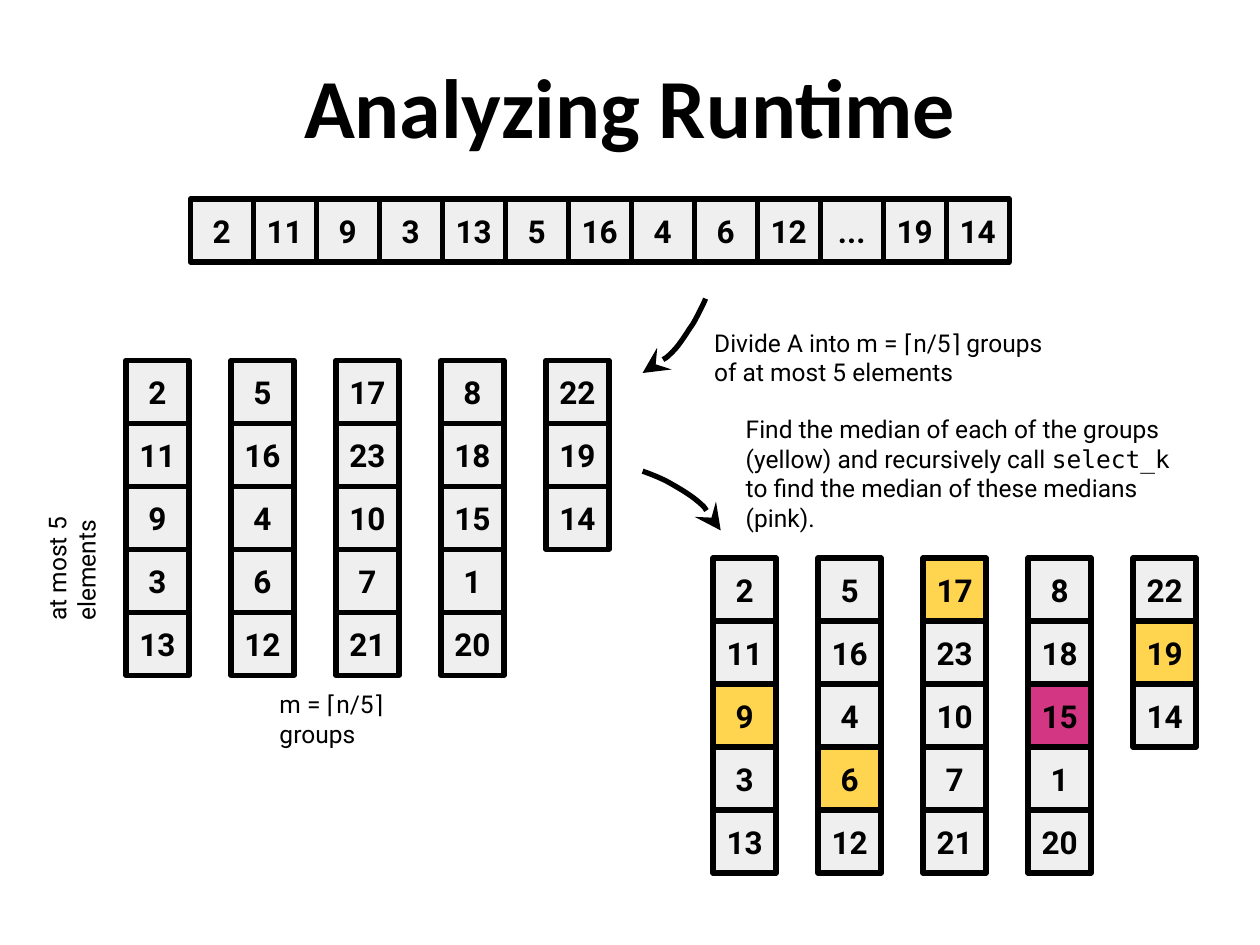
"""Build the "Analyzing Runtime" slide: an array split into groups of five, with medians marked."""
from dataclasses import dataclass

from lxml import etree
from pptx import Presentation
from pptx.dml.color import RGBColor
from pptx.enum.shapes import MSO_SHAPE
from pptx.enum.text import MSO_ANCHOR, PP_ALIGN
from pptx.oxml.ns import qn
from pptx.util import Inches, Pt

RECT = MSO_SHAPE.RECTANGLE
TOP, MIDDLE = MSO_ANCHOR.TOP, MSO_ANCHOR.MIDDLE
LEFT, CENTER = PP_ALIGN.LEFT, PP_ALIGN.CENTER


@dataclass(frozen=True)
class Theme:
    ink: RGBColor = RGBColor(0x00, 0x00, 0x00)
    cell: RGBColor = RGBColor(0xEF, 0xEF, 0xEF)
    median: RGBColor = RGBColor(0xFF, 0xD5, 0x4F)
    pivot: RGBColor = RGBColor(0xD3, 0x36, 0x82)
    heading: str = "Calibri"
    body: str = "Roboto"
    code: str = "DejaVu Sans Mono"
    title_size: Pt = Pt(48)
    cell_size: Pt = Pt(18)
    note_size: Pt = Pt(14)
    line: Pt = Pt(3)


theme = Theme()
CELL = 0.5
PITCH = CELL * 5 / 3


def write(tf, paragraphs, size, align=LEFT, anchor=MIDDLE, bold=False):
    """Fill a text frame with paragraphs, each a list of (text, font) runs."""
    tf.word_wrap = True
    tf.vertical_anchor = anchor
    tf.margin_left = tf.margin_right = tf.margin_top = tf.margin_bottom = Inches(0.1)
    for i, runs in enumerate(paragraphs):
        p = tf.add_paragraph() if i else tf.paragraphs[0]
        p.alignment = align
        for text, font in runs:
            r = p.add_run()
            r.text = text
            r.font.name, r.font.size, r.font.bold = font, size, bold
            r.font.color.rgb = theme.ink


prs = Presentation()
prs.slide_width, prs.slide_height = Inches(10), Inches(7.5)
s = prs.slides.add_slide(prs.slide_layouts[5])

title = s.shapes.title
title.left, title.top, title.width, title.height = 0, Inches(0.33), prs.slide_width, Inches(1.25)
write(title.text_frame, [[("Analyzing Runtime", theme.heading)]], theme.title_size, CENTER, TOP, True)

array = ["2", "11", "9", "3", "13", "5", "16", "4", "6", "12", "...", "19", "14"]
groups = [
    ["2", "11", "9", "3", "13"],
    ["5", "16", "4", "6", "12"],
    ["17", "23", "10", "7", "21"],
    ["8", "18", "15", "1", "20"],
    ["22", "19", "14"],
]
marks = {(0, 2): theme.median, (1, 3): theme.median, (2, 0): theme.median,
         (3, 2): theme.pivot, (4, 1): theme.median}

cells = [(1.51 + i * CELL, 1.58, value, theme.cell) for i, value in enumerate(array)]
for left, top, fills in [(1, 2.86, {}), (5.66, 4.43, marks)]:
    for col, group in enumerate(groups):
        for row, value in enumerate(group):
            fill = fills.get((col, row), theme.cell)
            cells.append((left + col * PITCH, top + row * CELL, value, fill))

for x, y, value, fill in cells:
    sp = s.shapes.add_shape(RECT, Inches(x), Inches(y), Inches(CELL), Inches(CELL))
    sp.shadow.inherit = False
    sp.fill.solid()
    sp.fill.fore_color.rgb = fill
    sp.line.color.rgb, sp.line.width = theme.ink, theme.line
    write(sp.text_frame, [[(value, theme.body)]], theme.cell_size, CENTER, bold=True)

notes = [
    (5.57, 2.48, 3.17, 0.71, 0, [[("Divide A into m = ⌈n/5⌉ groups", theme.body)],
                                 [("of at most 5 elements", theme.body)]]),
    (2.12, 5.48, 1.66, 0.45, 0, [[("m = ⌈n/5⌉ groups", theme.body)]]),
    (-0.31, 3.92, 1.75, 0.46, 270, [[("at most 5 elements", theme.body)]]),
    (5.82, 3.4, 3.75, 0.71, 0, [[
        ("Find the median of each of the groups (yellow) and recursively call ", theme.body),
        ("select_k", theme.code),
        (" to find the median of these medians (pink).", theme.body)]]),
]
for x, y, w, h, angle, paragraphs in notes:
    sp = s.shapes.add_textbox(Inches(x), Inches(y), Inches(w), Inches(h))
    sp.rotation = angle
    write(sp.text_frame, paragraphs, theme.note_size)

arrows = [
    [(5.6, 2.37), (5.59, 2.4), (5.54, 2.5), (5.5, 2.57),
     (5.45, 2.64), (5.4, 2.73), (5.34, 2.79),
     (5.27, 2.86), (5.14, 2.93), (5.1, 2.96)],
    [(5.1, 3.74), (5.13, 3.75), (5.24, 3.79), (5.31, 3.83),
     (5.38, 3.87), (5.47, 3.92), (5.54, 3.98),
     (5.61, 4.04), (5.69, 4.17), (5.72, 4.21)],
]
for points in arrows:
    start, *controls = [(Inches(x), Inches(y)) for x, y in points]
    builder = s.shapes.build_freeform(*start)
    builder.add_line_segments(controls, close=False)
    sp = builder.convert_to_shape()
    sp.shadow.inherit = False
    sp.fill.background()
    sp.line.color.rgb, sp.line.width = theme.ink, theme.line
    outline = sp.element.spPr.find(".//" + qn("a:path"))
    segments = outline.findall(qn("a:lnTo"))
    for i in range(0, len(segments), 3):
        curve = etree.SubElement(outline, qn("a:cubicBezTo"))
        for segment in segments[i:i + 3]:
            curve.append(segment[0])
            outline.remove(segment)
    head = etree.SubElement(sp.line._get_or_add_ln(), qn("a:tailEnd"))
    head.set("type", "stealth")
    head.set("w", "lg")
    head.set("len", "lg")

prs.save("out.pptx")
